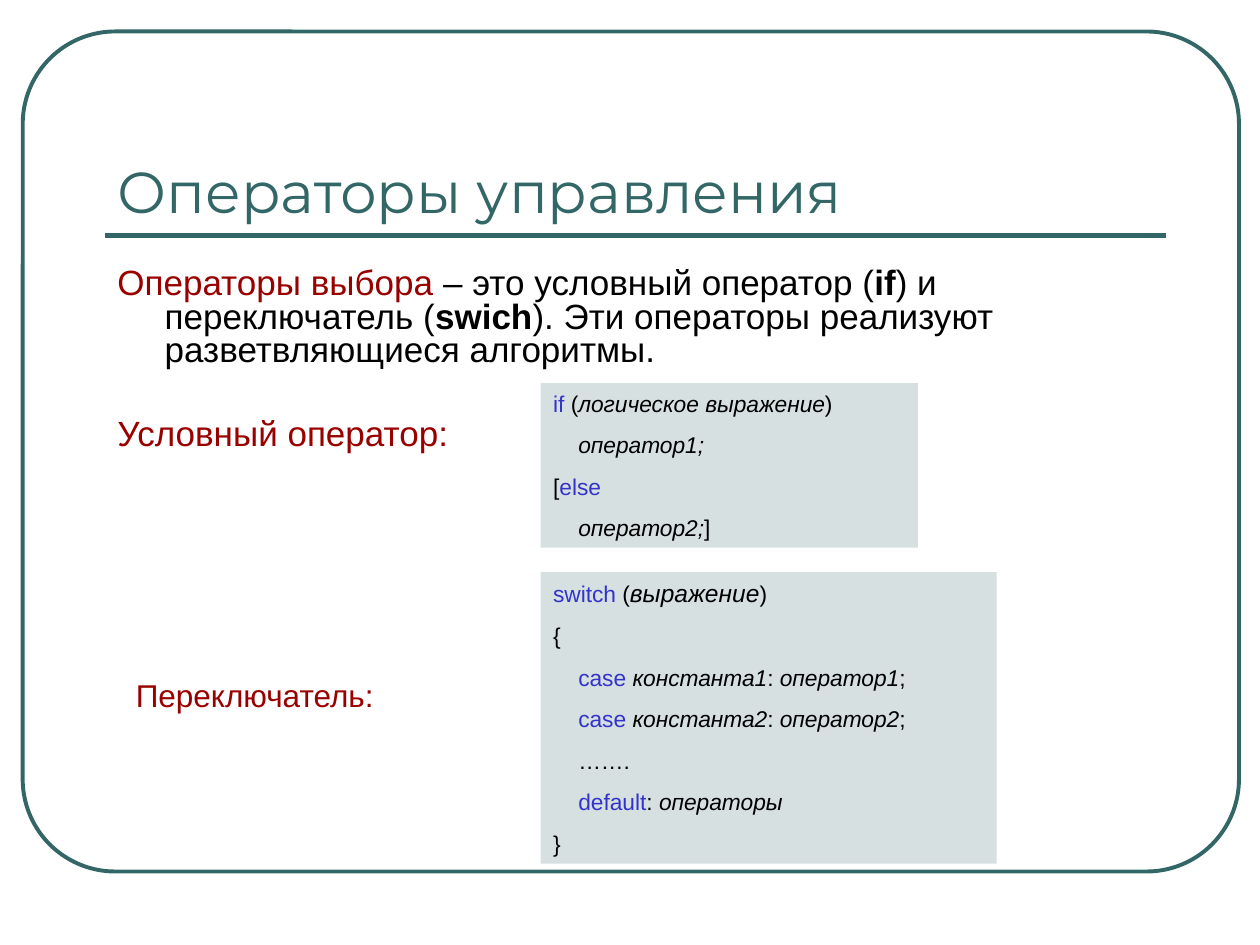
"""Build a slide on selection operators: if and switch."""
import pptx
import pptx.dml.color
import pptx.enum.shapes
import pptx.enum.text
import pptx.oxml.ns
import pptx.util

Pt = pptx.util.Pt
SHAPES = pptx.enum.shapes.MSO_SHAPE
ANCHOR = pptx.enum.text.MSO_ANCHOR

TEAL, RED, BLUE, BLACK, PANEL = "336666", "990000", "3333CC", "000000", "D6E0E0"
STYLES = {
    "title": dict(size=33, font="Montserrat", color=TEAL),
    "term": dict(size=20, color=RED),
    "body": dict(size=20),
    "strong": dict(size=20, bold=True),
    "label": dict(size=18, color=RED),
    "code": dict(size=13),
    "key": dict(size=13, color=BLUE),
    "var": dict(size=13, italic=True),
    "big var": dict(size=14, italic=True),
}
CODE_LEFT, CODE_INDENT = 309, 14.4

TITLE = [(0, [("title", "Операторы управления")])]
DEFINITION = [
    ("term", "Операторы выбора"),
    ("body", " – это условный оператор ("),
    ("strong", "if"),
    ("body", ") и переключатель ("),
    ("strong", "swich"),
    ("body", "). Эти операторы реализуют разветвляющиеся алгоритмы."),
]
IF_LABEL = [("term", "Условный оператор:")]
SWITCH_LABEL = [(0, [("label", "Переключатель:")])]
IF_CODE = [
    (0, [("key", "if"), ("code", " ("), ("var", "логическое выражение"), ("code", ")")]),
    (1, [("var", "оператор1;")]),
    (0, [("code", "["), ("key", "else")]),
    (1, [("var", "оператор2;"), ("code", "]")]),
]
CASES = [
    (1, [("key", "case "), ("var", f"константа{number}"), ("code", ": "),
         ("var", f"оператор{number}"), ("code", ";")])
    for number in (1, 2)
]
SWITCH_CODE = [
    (0, [("key", "switch"), ("code", " ("), ("big var", "выражение"), ("code", ")")]),
    (0, [("code", "{")]),
    *CASES,
    (1, [("code", "…….")]),
    (1, [("key", "default"), ("code", ": "), ("var", "операторы")]),
    (0, [("code", "}")]),
]


def rgb(value):
    return pptx.dml.color.RGBColor.from_string(value)


def add_spans(para, spans):
    for style, text in spans:
        look = STYLES[style]
        span = para.add_run()
        span.text = text
        span.font.size = Pt(look["size"])
        span.font.name = look.get("font", "Arial")
        span.font.bold = look.get("bold", False)
        span.font.italic = look.get("italic", False)
        span.font.color.rgb = rgb(look.get("color", BLACK))


def set_indent(para, left, first=0):
    properties = para._p.get_or_add_pPr()
    properties.set("marL", str(Pt(left)))
    properties.set("indent", str(Pt(first)))


def fill_text(box, lines, before=0, anchor=ANCHOR.TOP):
    frame = box.text_frame
    frame.word_wrap = True
    frame.vertical_anchor = anchor
    for index, (level, spans) in enumerate(lines):
        para = frame.add_paragraph() if index else frame.paragraphs[0]
        para.alignment = pptx.enum.text.PP_ALIGN.LEFT
        para.space_before = Pt(before)
        set_indent(para, level * CODE_INDENT)
        add_spans(para, spans)
    return frame


def add_text(page, left, top, width, height, lines, **options):
    box = page.shapes.add_textbox(Pt(left), Pt(top), Pt(width), Pt(height))
    return fill_text(box, lines, **options)


def add_code(page, top, width, height, lines):
    panel = page.shapes.add_shape(
        SHAPES.RECTANGLE, Pt(CODE_LEFT), Pt(top), Pt(width), Pt(height))
    panel.shadow.inherit = False
    panel.fill.solid()
    panel.fill.fore_color.rgb = rgb(PANEL)
    panel.line.fill.background()
    fill_text(panel, lines, before=8.1)


def add_frame(page):
    border = page.shapes.add_shape(
        SHAPES.ROUNDED_RECTANGLE, Pt(13), Pt(18), Pt(695), Pt(480))
    border.adjustments[0] = 0.11
    border.shadow.inherit = False
    border.fill.background()
    rule = page.shapes.add_connector(
        pptx.enum.shapes.MSO_CONNECTOR.STRAIGHT, Pt(60), Pt(134.6), Pt(666), Pt(134.6))
    rule._element.spPr.append(
        rule._element.makeelement(pptx.oxml.ns.qn("a:effectLst"), {}))
    for outline, weight in ((border.line, 2.25), (rule.line, 3)):
        outline.color.rgb = rgb(TEAL)
        outline.width = Pt(weight)


def main():
    deck = pptx.Presentation()
    deck.slide_width, deck.slide_height = Pt(720), Pt(540)
    page = deck.slides.add_slide(deck.slide_layouts[6])
    add_frame(page)
    add_text(page, 60, 42, 606, 90, TITLE, anchor=ANCHOR.BOTTOM)
    body = add_text(page, 60, 150, 606, 114.5, [(0, DEFINITION), (0, IF_LABEL)])
    for para, before in zip(body.paragraphs, (5, 28.4)):
        para.line_spacing = 0.8
        para.space_before = Pt(before)
        set_indent(para, 27, -27)
    add_code(page, 219, 215.5, 94, IF_CODE)
    add_text(page, 70.5, 383, 170, 29, SWITCH_LABEL, before=11.2)
    add_code(page, 327, 260.5, 166.5, SWITCH_CODE)
    deck.save("out.pptx")


if __name__ == "__main__":
    main()
